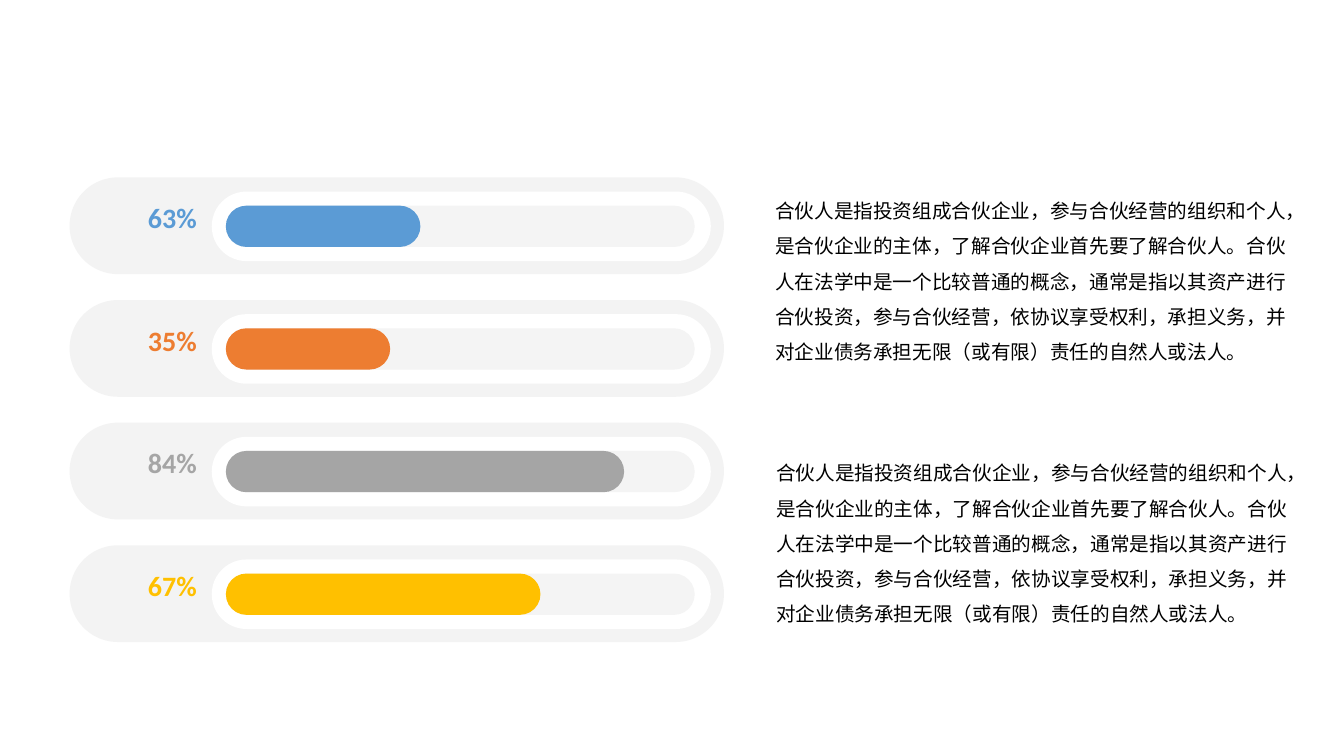
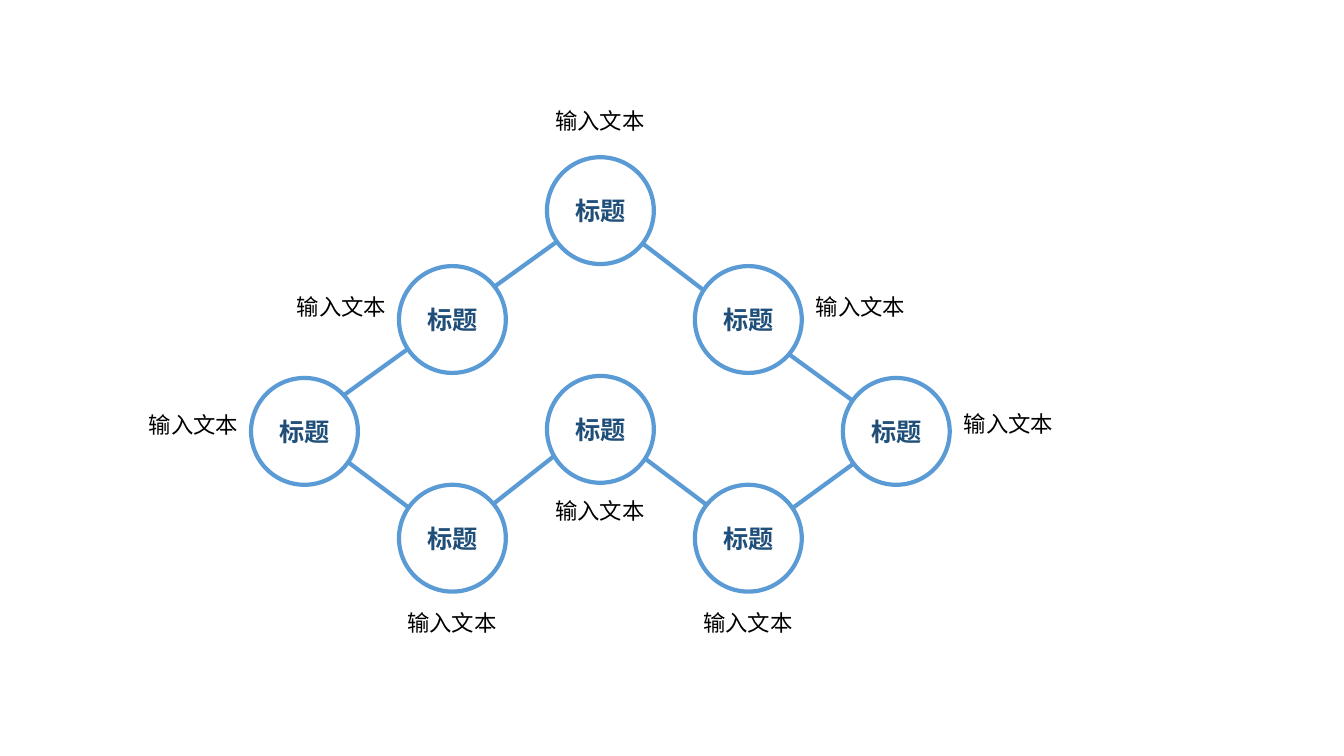
"""Build a progress bar slide and a linked circle slide."""
from dataclasses import dataclass

from lxml.etree import SubElement
from pptx import Presentation
from pptx.dml.color import RGBColor
from pptx.enum.shapes import MSO_SHAPE
from pptx.enum.text import MSO_ANCHOR, PP_ALIGN
from pptx.oxml.ns import qn
from pptx.util import Inches, Pt


@dataclass(frozen=True)
class Theme:
    """Hold the colours, fonts and type sizes of both slides."""

    blue: str = "5B9BD5"
    orange: str = "ED7D31"
    grey: str = "A5A5A5"
    yellow: str = "FFC000"
    navy: str = "1F4E79"
    black: str = "000000"
    white: str = "FFFFFF"
    panel: str = "F3F3F3"
    track: str = "F4F4F4"
    number_font: str = "Calibri"
    text_font: str = "Noto Sans CJK SC"
    body_size: int = 14
    label_size: int = 16
    node_size: int = 18
    number_size: int = 20
    line_width: int = 3


THEME = Theme()

BODY = (
    "合伙人是指投资组成合伙企业，参与合伙经营的组织和个人，是合伙企业的主体，"
    "了解合伙企业首先要了解合伙人。合伙人在法学中是一个比较普通的概念，"
    "通常是指以其资产进行合伙投资，参与合伙经营，依协议享受权利，承担义务，"
    "并对企业债务承担无限（或有限）责任的自然人或法人。"
)
BARS = [
    ("63%", 1.93, THEME.blue),
    ("35%", 1.63, THEME.orange),
    ("84%", 3.95, THEME.grey),
    ("67%", 3.12, THEME.yellow),
]
BAR_TOP = 1.76
BAR_PITCH = 3.65 / 3

NODE_LEFT = 2.49
NODE_PITCH = 5.87 / 4
NODE_DIAMETER = 1.06
LABEL_OFFSETS = {PP_ALIGN.LEFT: 1.1, PP_ALIGN.CENTER: -0.48, PP_ALIGN.RIGHT: -2.04}
NODES = [
    (2, 1.56, 1.01, PP_ALIGN.CENTER),
    (3, 2.64, 2.86, PP_ALIGN.LEFT),
    (4, 3.75, 4.02, PP_ALIGN.LEFT),
    (3, 4.81, 5.99, PP_ALIGN.CENTER),
    (2, 3.73, 4.88, PP_ALIGN.CENTER),
    (1, 4.81, 5.99, PP_ALIGN.CENTER),
    (1, 2.64, 2.86, PP_ALIGN.RIGHT),
    (0, 3.75, 4.03, PP_ALIGN.RIGHT),
]
LINK_POINTS = [
    (5.95, 2.09), (7.45, 3.24), (8.89, 4.29), (7.45, 5.34),
    (5.92, 4.19), (4.46, 5.34), (2.98, 4.23),
]


def write_text(shape, text, *, size, color=THEME.black, font=THEME.text_font,
               bold=False, align=PP_ALIGN.LEFT, spacing=None):
    """Write one formatted paragraph into a shape."""
    shape.text_frame.word_wrap = True
    paragraph = shape.text_frame.paragraphs[0]
    paragraph.alignment = align
    paragraph.line_spacing = spacing
    run = paragraph.add_run()
    run.text = text
    run.font.size = Pt(size)
    run.font.bold = bold
    run.font.color.rgb = RGBColor.from_string(color)
    run.font.name = font
    SubElement(run._r.get_or_add_rPr(), qn("a:ea")).set("typeface", font)


def add_text(slide, text, left, top, width, height, **text_format):
    """Add a text box holding one paragraph."""
    box = slide.shapes.add_textbox(
        Inches(left), Inches(top), Inches(width), Inches(height))
    write_text(box, text, **text_format)


def add_filled(slide, kind, left, top, width, height, color):
    """Add a flat preset shape without an outline."""
    shape = slide.shapes.add_shape(
        kind, Inches(left), Inches(top), Inches(width), Inches(height))
    shape.shadow.inherit = False
    shape.fill.solid()
    shape.fill.fore_color.rgb = RGBColor.from_string(color)
    shape.line.fill.background()
    return shape


def add_pill(slide, left, top, width, height, color):
    """Add a bar with fully rounded ends."""
    pill = add_filled(
        slide, MSO_SHAPE.ROUNDED_RECTANGLE, left, top, width, height, color)
    pill.adjustments[0] = 0.5


def outline(shape):
    """Draw the shared blue outline around a shape."""
    shape.line.color.rgb = RGBColor.from_string(THEME.blue)
    shape.line.width = Pt(THEME.line_width)


def add_progress_bar(slide, top, percent, length, color):
    """Add a progress bar with its percentage."""
    add_pill(slide, 0.69, top, 6.49, 0.96, THEME.panel)
    add_pill(slide, 2.1, top + 0.14, 4.95, 0.69, THEME.white)
    add_pill(slide, 2.24, top + 0.28, 4.65, 0.41, THEME.track)
    add_pill(slide, 2.24, top + 0.28, length, 0.41, color)
    add_text(slide, percent, 1.1, top + 0.18, 0.95, 0.6, size=THEME.number_size,
             color=color, font=THEME.number_font, bold=True, align=PP_ALIGN.RIGHT)


def add_links(slide):
    """Add the closed line that joins the circles."""
    start, *others = [(Inches(x), Inches(y)) for x, y in LINK_POINTS]
    builder = slide.shapes.build_freeform(*start)
    builder.add_line_segments(others, close=True)
    links = builder.convert_to_shape()
    links.shadow.inherit = False
    links.fill.background()
    outline(links)


def add_node(slide, column, top, label_top, align):
    """Add a titled circle and its label."""
    left = NODE_LEFT + column * NODE_PITCH
    circle = add_filled(slide, MSO_SHAPE.OVAL, left, top,
                        NODE_DIAMETER, NODE_DIAMETER, THEME.white)
    outline(circle)
    frame = circle.text_frame
    frame.margin_left = frame.margin_right = 0
    frame.margin_top = frame.margin_bottom = 0
    frame.vertical_anchor = MSO_ANCHOR.MIDDLE
    write_text(circle, "标题", size=THEME.node_size, color=THEME.navy,
               bold=True, align=PP_ALIGN.CENTER)
    add_text(slide, "输入文本", left + LABEL_OFFSETS[align], label_top, 2.01, 0.5,
             size=THEME.label_size, align=align)


def build_progress_slide(slide):
    """Fill the slide of progress bars and body text."""
    for row, (percent, length, color) in enumerate(BARS):
        add_progress_bar(slide, BAR_TOP + row * BAR_PITCH, percent, length, color)
    for left, top in ((7.59, 1.81), (7.6, 4.41)):
        add_text(slide, BODY, left, top, 5.27, 1.87,
                 size=THEME.body_size, spacing=1.5)


def build_circle_slide(slide):
    """Fill the slide of linked circles."""
    add_links(slide)
    for node in NODES:
        add_node(slide, *node)


def main():
    """Build and save the presentation."""
    presentation = Presentation()
    presentation.slide_width = Inches(13.33)
    presentation.slide_height = Inches(7.5)
    blank = presentation.slide_layouts[6]
    for build in (build_progress_slide, build_circle_slide):
        build(presentation.slides.add_slide(blank))
    presentation.save("out.pptx")


if __name__ == "__main__":
    main()
